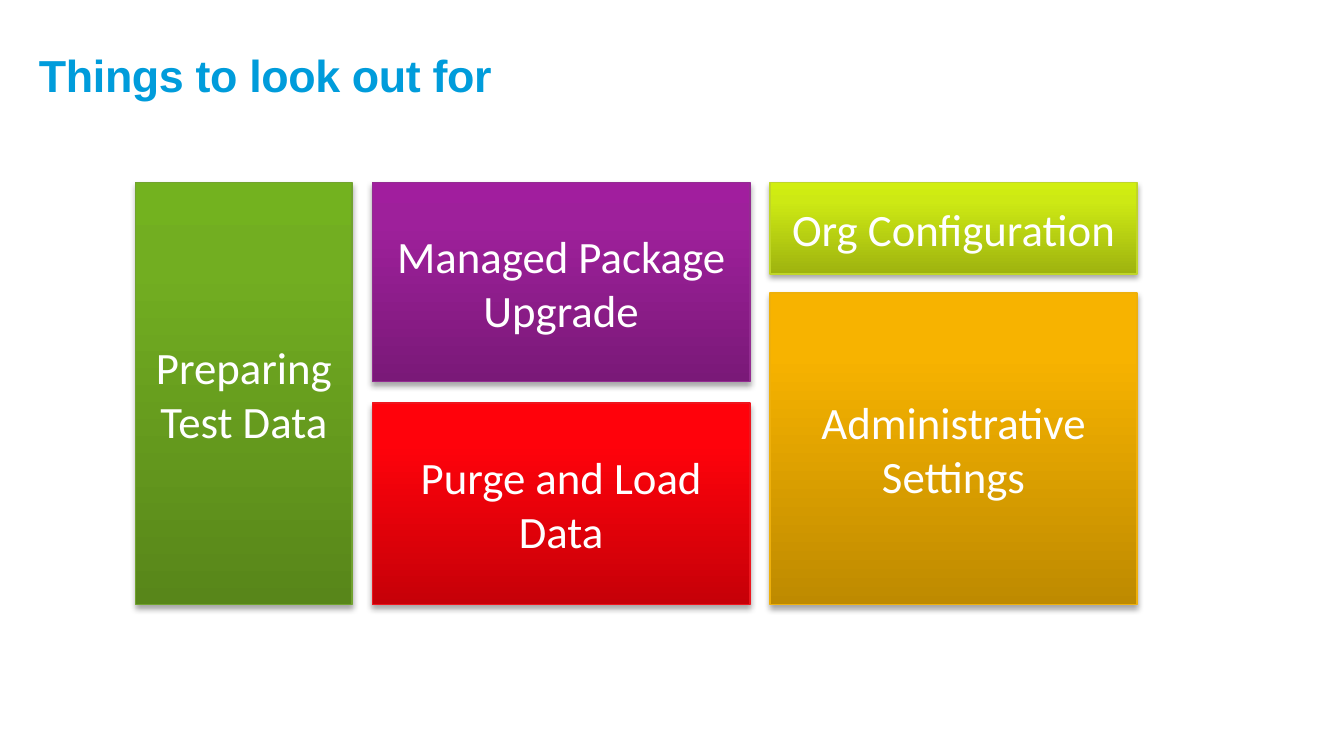
from copy import deepcopy

from lxml import etree
from pptx import Presentation
from pptx.dml.color import RGBColor
from pptx.enum.shapes import MSO_SHAPE
from pptx.enum.text import MSO_ANCHOR, PP_ALIGN
from pptx.oxml.ns import qn
from pptx.util import Inches, Pt

RECTANGLE = MSO_SHAPE.RECTANGLE
MIDDLE, BOTTOM = MSO_ANCHOR.MIDDLE, MSO_ANCHOR.BOTTOM
CENTER = PP_ALIGN.CENTER

THEME = {
    "title": {"name": "Arial", "size": Pt(24), "bold": True, "color": "009CDB"},
    "tile": {"name": "Calibri", "size": Pt(24), "bold": False, "color": "FFFFFF"},
    "stops": (0, 0.8, 1),
    "line_width": Pt(0.75),
    "shadow": {"blurRad": Pt(3.1), "dist": Pt(1.8), "dir": 90 * 60000, "rotWithShape": 0},
    # Gradient from bottom to top, then outline
    "green": ("58861A", "72AE21", "73B21F", "71A22F"),
    "purple": ("7A1978", "9E209B", "A11E9E", "932C91"),
    "red": ("C60008", "FF020B", "FF030D", "ED161E"),
    "lime": ("9EB30F", "CDE914", "D1EE10", "C0D629"),
    "amber": ("BE8A00", "F7B300", "F8B400", "EEB00B"),
}

# Grid in inches: each column holds a width, a row gap and its tiles (text, colour, height)
SLIDE_WIDTH = 10
SLIDE_HEIGHT = SLIDE_WIDTH * 9 / 16
LEFT, TOP, COLUMN_GAP = 1.01, 1.36, 0.15
COLUMNS = [
    (1.61, 0, [("Preparing Test Data", "green", 3.14)]),
    (2.81, 0.16, [("Managed Package Upgrade", "purple", 1.48),
                  ("Purge and Load Data", "red", 1.5)]),
    (2.73, 0.14, [("Org Configuration", "lime", 0.68),
                  ("Administrative Settings", "amber", 2.32)]),
]


def write_text(shape, text, style):
    shape.text_frame.word_wrap = True
    para = shape.text_frame.paragraphs[0]
    span = para.add_run()
    span.text = text
    for name in ("name", "size", "bold"):
        setattr(span.font, name, style[name])
    span.font.color.rgb = RGBColor.from_string(style["color"])
    return para, span


def paint_tile(tile, colors):
    *gradient, outline = colors
    tile.fill.gradient()
    tile.fill.gradient_angle = 90
    stop_list = next(tile._element.spPr.iter(qn("a:gsLst")))
    stop_list.append(deepcopy(stop_list[-1]))
    for stop, position, color in zip(tile.fill.gradient_stops, THEME["stops"], gradient):
        stop.position = position
        stop.color.rgb = RGBColor.from_string(color)
    tile.line.color.rgb = RGBColor.from_string(outline)
    tile.line.width = THEME["line_width"]

    # Soft shadow below the tile
    tile.shadow.inherit = False
    effects = tile._element.spPr.find(qn("a:effectLst"))
    shadow = etree.SubElement(effects, qn("a:outerShdw"))
    for name, value in THEME["shadow"].items():
        shadow.set(name, str(value))
    black = etree.SubElement(shadow, qn("a:srgbClr"), val="000000")
    etree.SubElement(black, qn("a:alpha"), val="35000")


deck = Presentation()
deck.slide_width, deck.slide_height = Inches(SLIDE_WIDTH), Inches(SLIDE_HEIGHT)
page = deck.slides.add_slide(deck.slide_layouts[6])

# Title
title = page.shapes.add_textbox(Inches(0.29), 0, Inches(9.41), Inches(0.75))
frame = title.text_frame
for side in ("left", "top", "right", "bottom"):
    setattr(frame, f"margin_{side}", 0)
frame.vertical_anchor = BOTTOM
para, span = write_text(title, "Things to look out for", THEME["title"])
para.line_spacing = 0.8
span.font._element.set("spc", "-20")

# Tiles, column by column
x = LEFT
for width, row_gap, tiles in COLUMNS:
    y = TOP
    for text, color, height in tiles:
        tile = page.shapes.add_shape(
            RECTANGLE, Inches(x), Inches(y), Inches(width), Inches(height))
        paint_tile(tile, THEME[color])
        para, span = write_text(tile, text, THEME["tile"])
        para.alignment = CENTER
        tile.text_frame.vertical_anchor = MIDDLE
        y += height + row_gap
    x += width + COLUMN_GAP

deck.save("out.pptx")
